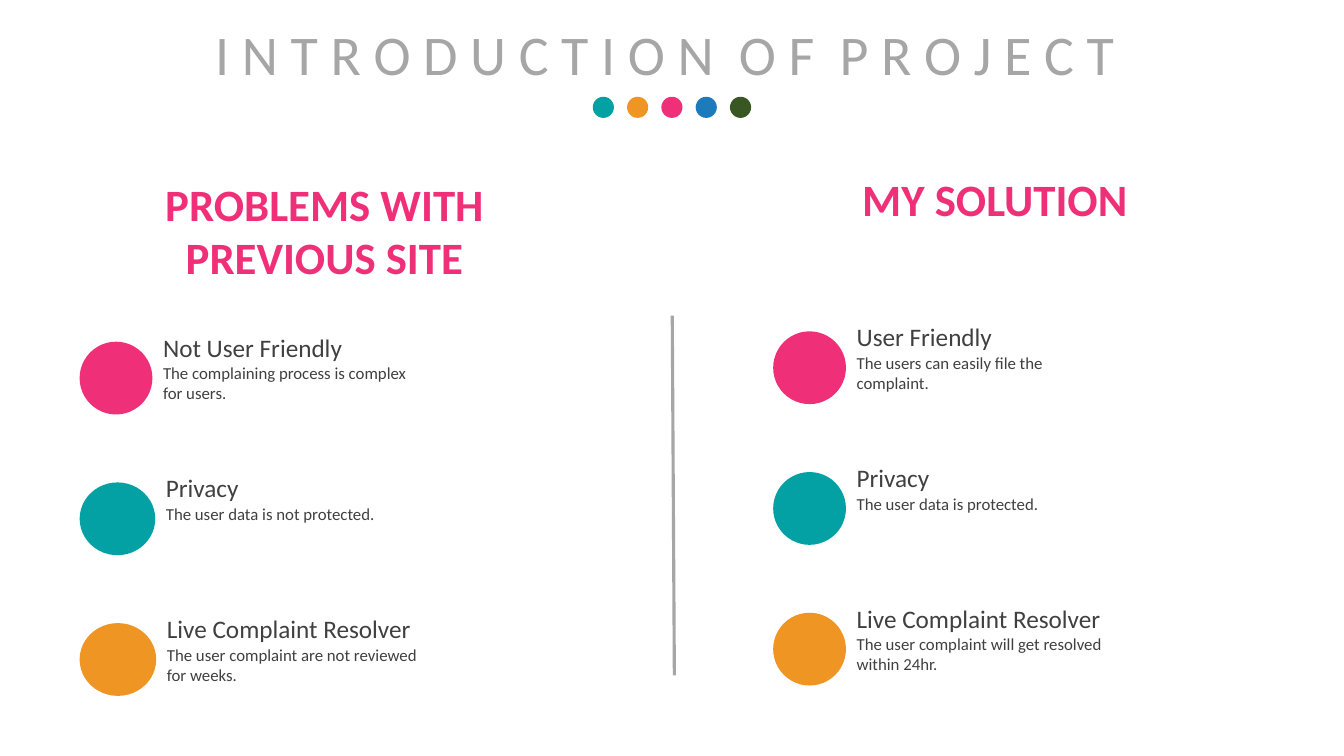
from pptx import Presentation
from pptx.dml.color import RGBColor
from pptx.enum.shapes import MSO_CONNECTOR, MSO_SHAPE
from pptx.enum.text import MSO_AUTO_SIZE, PP_ALIGN
from pptx.oxml.xmlchemy import OxmlElement
from pptx.util import Pt

FONT = "Calibri"
TEAL, ORANGE, PINK, BLUE, GREEN = "03A1A4", "EE9524", "EF3078", "1C7CBB", "385723"
GREY, DARK = "A6A6A6", "404040"

TITLE = "I N T R O D U C T I O N  O F  P R O J E C T"
DOT_COLOURS = [TEAL, ORANGE, PINK, BLUE, GREEN]
HEADINGS = [
    (["PROBLEMS WITH", "PREVIOUS SITE"], (108, 122.4, 247.7, 85)),
    (["MY SOLUTION"], (604.8, 118.8, 211.7, 46)),
]
ONE_LINE, TWO_LINES = 21.6, 36
COLUMNS = [
    (56.9, 244.1, [
        ("Not User Friendly", "The complaining process is complex for users.",
         PINK, 52, 171.4, 198.7, TWO_LINES),
        ("Privacy", "The user data is not protected.",
         TEAL, 54, 216, 205.9, ONE_LINE),
        ("Live Complaint Resolver", "The user complaint are not reviewed for weeks.",
         ORANGE, 54.7, 215.3, 208.1, TWO_LINES),
    ]),
    (552.3, 236.7, [
        ("User Friendly", "The users can easily file the complaint.",
         PINK, 52, 152.6, 198.7, TWO_LINES),
        ("Privacy", "The user data is protected.",
         TEAL, 52, 166.3, 198.7, ONE_LINE),
        ("Live Complaint Resolver", "The user complaint will get resolved within 24hr.",
         ORANGE, 52, 198.7, 198.7, TWO_LINES),
    ]),
]
DOT_LEFT, DOT_TOP, DOT_SIZE, DOT_STEP = 423.4, 69.1, 15.1, 24.5
ROW_STEP, DISC_HEIGHT, TEXT_GAP = 100.5, 52, 0.5
NAME_RISE, NAME_HEIGHT, DETAIL_DROP = 10.6, 29, 11.6


def colour(value):
    return RGBColor.from_string(value)


def add_disc(shapes, box, fill):
    disc = shapes.add_shape(MSO_SHAPE.OVAL, *map(Pt, box))
    disc.shadow.inherit = False
    disc.fill.solid()
    disc.fill.fore_color.rgb = colour(fill)
    disc.line.fill.background()


def add_text(shapes, box, lines, size, fill, bold=False, align=PP_ALIGN.LEFT, wrap=True):
    frame = shapes.add_textbox(*map(Pt, box)).text_frame
    frame.word_wrap = wrap
    frame.auto_size = MSO_AUTO_SIZE.SHAPE_TO_FIT_TEXT
    for index, line in enumerate(lines):
        paragraph = frame.add_paragraph() if index else frame.paragraphs[0]
        paragraph.alignment = align
        run = paragraph.add_run()
        run.text = line
        run.font.name = FONT
        run.font.size = Pt(size)
        run.font.bold = bold
        run.font.color.rgb = colour(fill)


def add_point(slide, left, top, point):
    name, detail, fill, disc_width, name_width, detail_width, detail_height = point
    shapes = slide.shapes.add_group_shape().shapes
    text_left = left + disc_width + TEXT_GAP
    add_disc(shapes, (left, top, disc_width, DISC_HEIGHT), fill)
    add_text(shapes, (text_left, top - NAME_RISE, name_width, NAME_HEIGHT), [name], 18, DARK)
    add_text(shapes, (text_left, top + DETAIL_DROP, detail_width, detail_height),
             [detail], 12, DARK)


def main():
    presentation = Presentation()
    presentation.slide_width, presentation.slide_height = Pt(960), Pt(540)
    slide = presentation.slides.add_slide(presentation.slide_layouts[6])

    add_text(slide.shapes, (113, 10.1, 723.6, 55.4), [TITLE], 40, GREY, align=PP_ALIGN.CENTER)

    dots = slide.shapes.add_group_shape().shapes
    for index, fill in enumerate(DOT_COLOURS):
        add_disc(dots, (DOT_LEFT + index * DOT_STEP, DOT_TOP, DOT_SIZE, DOT_SIZE), fill)

    for left, top, points in COLUMNS:
        for row, point in enumerate(points):
            add_point(slide, left, top + row * ROW_STEP, point)

    for lines, box in HEADINGS:
        add_text(slide.shapes, box, lines, 32, PINK, True, PP_ALIGN.CENTER, False)

    divider = slide.shapes.add_connector(
        MSO_CONNECTOR.STRAIGHT, Pt(481.7), Pt(482.4), Pt(480.2), Pt(225.4))
    divider.line.color.rgb = colour(GREY)
    divider.line.width = Pt(2.25)
    divider._element.spPr.append(OxmlElement("a:effectLst"))

    presentation.save("out.pptx")


if __name__ == "__main__":
    main()
